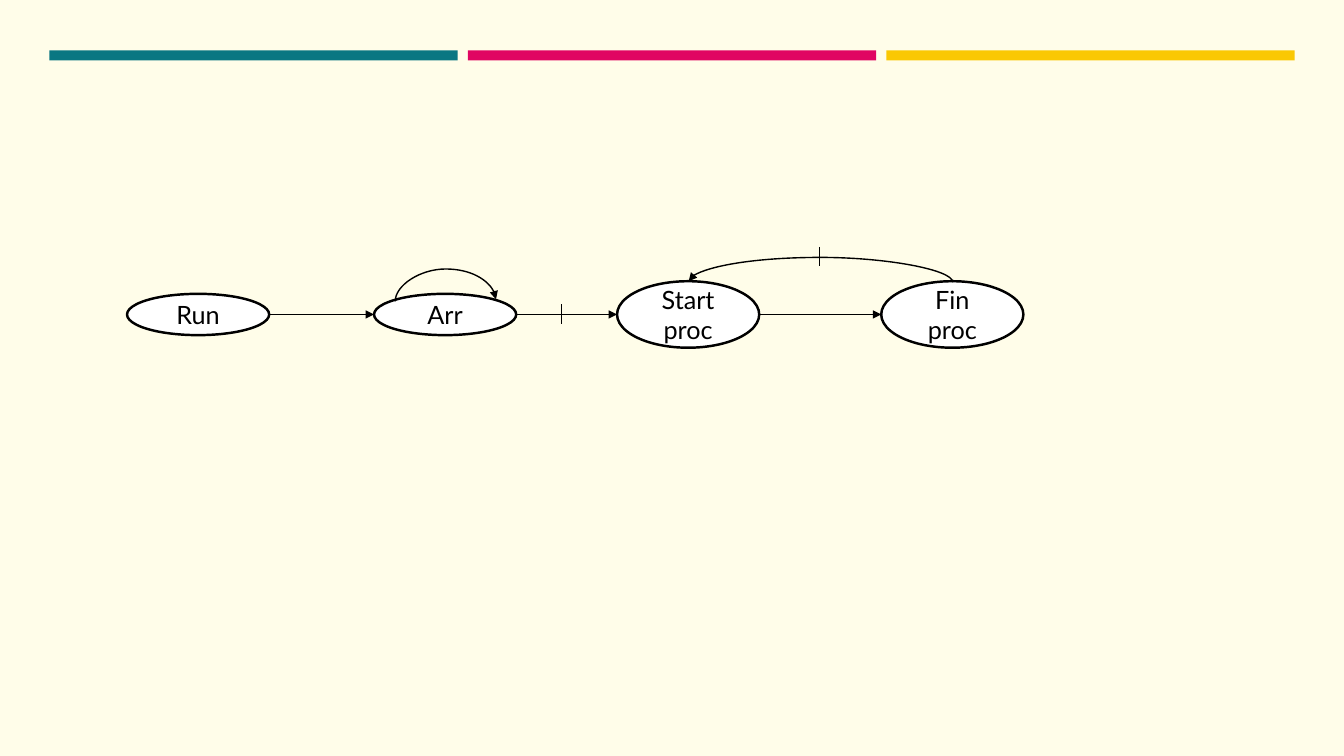
from lxml.etree import SubElement
from pptx import Presentation
from pptx.dml.color import RGBColor
from pptx.enum.shapes import MSO_CONNECTOR as LINK, MSO_SHAPE as SHAPE
from pptx.enum.text import MSO_ANCHOR, PP_ALIGN
from pptx.oxml.ns import qn
from pptx.util import Inches, Pt

COLORS = {"paper": "FFFDE9", "teal": "0A7782", "pink": "E00662",
          "yellow": "FAC803", "node": "FFFFFF", "ink": "000000"}
FONT = "Lato"
BARS = ["teal", "pink", "yellow"]
BAR_LEFT, BAR_TOP, BAR_WIDTH, BAR_HEIGHT, BAR_STEP = 0.49, 0.5, 4.05, 0.1, 4.15

NODE_WIDTH, AXIS = 1.41, 3.12
EVENTS = {"Run": (1.26, 0.41), "Arr": (3.71, 0.41),
          "Start proc": (6.12, 0.66), "Fin proc": (8.74, 0.66)}
TOP, TOP_LEFT, LEFT, RIGHT, TOP_RIGHT = 0, 1, 2, 6, 7
FLOWS = [("Run", "Arr"), ("Arr", "Start proc"), ("Start proc", "Fin proc")]
LOOPS = [
    {"ends": ("Arr", "Arr"), "sites": (TOP_LEFT, TOP_RIGHT),
     "start": (3.92, 2.99), "stop": (4.92, 2.97), "peak": 2.67},
    {"ends": ("Fin proc", "Start proc"), "sites": (TOP, TOP),
     "start": (9.45, 2.8), "stop": (6.83, 2.79), "peak": 2.55},
]
CONDITION_MARKS = [(5.57, 3.02), (8.13, 2.45)]
MARK_HEIGHT = 0.19


def rgb(name):
    return RGBColor.from_string(COLORS[name])


def add_filled(kind, left, top, width, height, color):
    shape = slide.shapes.add_shape(kind, *map(Inches, (left, top, width, height)))
    shape.shadow.inherit = False
    shape.fill.solid()
    shape.fill.fore_color.rgb = rgb(color)
    return shape


def add_event(name, left, height):
    event = add_filled(SHAPE.OVAL, left, AXIS - height / 2, NODE_WIDTH, height, "node")
    event.line.color.rgb = rgb("ink")
    event.line.width = Pt(1.75)
    frame = event.text_frame
    frame.text = name
    frame.word_wrap = True
    frame.vertical_anchor = MSO_ANCHOR.MIDDLE
    label = frame.paragraphs[0]
    label.alignment = PP_ALIGN.CENTER
    label.font.name, label.font.size = FONT, Pt(18)
    label.font.color.rgb = rgb("ink")
    return event


def add_link(kind, start, stop, arrow=True):
    link = slide.shapes.add_connector(kind, *map(Inches, (*start, *stop)))
    link.line.color.rgb = rgb("ink")
    link.line.width = Pt(1)
    if arrow:
        SubElement(link.line._get_or_add_ln(), qn("a:tailEnd"), type="triangle")
    SubElement(link._element.spPr, qn("a:effectLst"))
    return link


def attach(link, ends, sites):
    holder = link._element.find(".//" + qn("p:cNvCxnSpPr"))
    for tag, name, site in zip(("a:stCxn", "a:endCxn"), ends, sites):
        SubElement(holder, qn(tag), id=str(events[name].shape_id), idx=str(site))


def add_loop(ends, sites, start, stop, peak):
    link = add_link(LINK.CURVE, start, stop)
    rise, span = start[1] - stop[1], abs(stop[0] - start[0])
    link.left = Inches((start[0] + stop[0] - rise) / 2)
    link.top = Inches((start[1] + stop[1] - span) / 2)
    link.width, link.height = Inches(rise), Inches(span)
    rightward = stop[0] > start[0]
    frame = link._element.spPr.find(qn("a:xfrm"))
    frame.set("rot", str((90 if rightward else 270) * 60000))
    frame.set("flipH", "1" if rightward else "0")
    frame.set("flipV", "1")
    bend = round((start[1] - peak) / rise * 100000)
    guides = link._element.spPr.find(qn("a:prstGeom")).get_or_add_avLst()
    SubElement(guides, qn("a:gd"), name="adj1", fmla=f"val {bend}")
    attach(link, ends, sites)


deck = Presentation()
deck.slide_width, deck.slide_height = Inches(13.33), Inches(7.5)
slide = deck.slides.add_slide(deck.slide_layouts[6])
slide.background.fill.solid()
slide.background.fill.fore_color.rgb = rgb("paper")

for position, color in enumerate(BARS):
    bar = add_filled(SHAPE.RECTANGLE, BAR_LEFT + position * BAR_STEP, BAR_TOP,
                     BAR_WIDTH, BAR_HEIGHT, color)
    bar.line.fill.background()

events = {name: add_event(name, *place) for name, place in EVENTS.items()}

for source, target in FLOWS:
    flow = add_link(LINK.STRAIGHT, (EVENTS[source][0] + NODE_WIDTH, AXIS),
                    (EVENTS[target][0], AXIS))
    attach(flow, (source, target), (RIGHT, LEFT))

for loop in LOOPS:
    add_loop(**loop)

for x, y in CONDITION_MARKS:
    add_link(LINK.STRAIGHT, (x, y), (x, y + MARK_HEIGHT), arrow=False)

deck.save("out.pptx")
